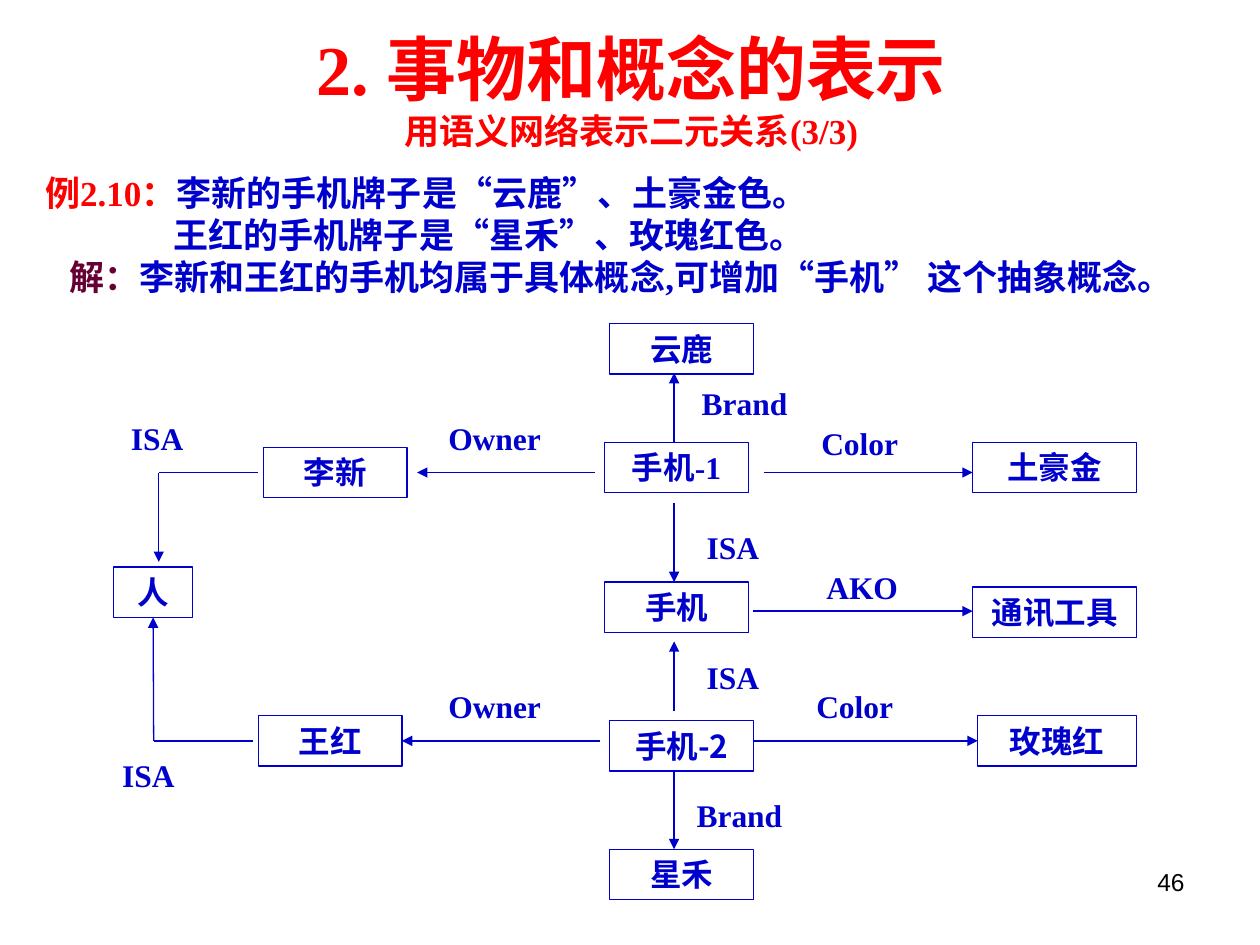
from dataclasses import dataclass

from lxml import etree
from pptx import Presentation
from pptx import util as u
from pptx.dml.color import RGBColor
from pptx.enum import shapes, text
from pptx.oxml import ns


@dataclass(frozen=True)
class Theme:
    red: str = "FF0000"
    blue: str = "0000CC"
    plum: str = "660033"
    black: str = "000000"
    serif: str = "Times New Roman"
    sans: str = "Arial"
    cjk: str = "Noto Sans CJK SC"
    title: int = 40
    body: int = 20
    diagram: int = 18
    number: int = 14
    line: float = 0.75


THEME = Theme()
BOX_HEIGHT = 0.4

# Concept boxes: text, left, top, width, Latin font
NODES = [
    ("手机-1", 4.8, 3.51, 1.14, THEME.serif),
    ("手机", 4.8, 4.62, 1.14, THEME.sans),
    ("手机-2", 4.84, 5.72, 1.14, THEME.cjk),
    ("土豪金", 7.72, 3.51, 1.3, THEME.sans),
    ("通讯工具", 7.72, 4.66, 1.3, THEME.sans),
    ("玫瑰红", 7.76, 5.68, 1.26, THEME.sans),
    ("李新", 2.09, 3.55, 1.14, THEME.sans),
    ("王红", 2.05, 5.68, 1.14, THEME.sans),
    ("人", 0.9, 4.5, 0.63, THEME.sans),
    ("云鹿", 4.84, 2.57, 1.14, THEME.sans),
    ("星禾", 4.84, 6.74, 1.14, THEME.sans),
]

# Relation arrows: start, end, and the box side that the end is joined to
ARROWS = [
    ((5.35, 3.51), (5.35, 2.96), None),
    ((4.72, 3.75), (3.31, 3.75), None),
    ((6.06, 3.75), (7.72, 3.75), None),
    ((5.35, 3.99), (5.35, 4.62), None),
    ((5.35, 5.64), (5.35, 5.09), None),
    ((5.98, 4.85), (7.72, 4.85), None),
    ((4.76, 5.88), (3.19, 5.88), ("王红", 3)),
    ((5.98, 5.88), (7.76, 5.88), ("玫瑰红", 1)),
    ((5.35, 6.11), (5.35, 6.74), None),
    ((1.26, 3.75), (1.26, 4.46), None),
    ((1.22, 5.88), (1.22, 4.89), ("人", 2)),
]

# Plain lines that lead from a person to the corner of an ISA arrow
CORNER_LINES = [((2.05, 3.75), (1.26, 3.75)), ((2.01, 5.88), (1.22, 5.88))]

# Relation names: text, left, top, width
LABELS = [
    ("Brand", 5.47, 3.0, 1.18),
    ("Owner", 3.46, 3.28, 1.1),
    ("Color", 6.42, 3.32, 0.87),
    ("ISA", 5.51, 4.14, 0.79),
    ("ISA", 5.51, 5.17, 0.79),
    ("AKO", 6.46, 4.46, 0.87),
    ("Color", 6.38, 5.4, 1.18),
    ("Owner", 3.46, 5.4, 1.02),
    ("Brand", 5.43, 6.27, 1.18),
    ("ISA", 0.94, 3.28, 0.79),
    ("ISA", 0.87, 5.95, 0.79),
]

# Example paragraphs: left indent, then runs of text and colour
EXAMPLE = [
    (0.06, [("例2.10：", THEME.red), ("李新的手机牌子是“云鹿”、土豪金色。", THEME.blue)]),
    (1.08, [("王红的手机牌子是“星禾”、玫瑰红色。", THEME.blue)]),
    (0.25, [("解：", THEME.plum),
            ("李新和王红的手机均属于具体概念,可增加“手机” 这个抽象概念。", THEME.blue)]),
]


def add_span(para, wording, size, color, font=THEME.serif, bold=True):
    span = para.add_run()
    span.text = wording
    span.font.size = u.Pt(size)
    span.font.bold = bold
    span.font.name = font
    span.font.color.rgb = RGBColor.from_string(color)
    east_asian = etree.SubElement(span.font._element, ns.qn("a:ea"))
    east_asian.set("typeface", THEME.cjk)


def add_text_box(parent, left, top, width, height):
    box = parent.shapes.add_textbox(*map(u.Inches, (left, top, width, height)))
    box.text_frame.word_wrap = True
    return box.text_frame


def add_title(page):
    title = page.shapes.title
    title.left, title.top, title.width, title.height = map(u.Inches, (0.51, 0.21, 9, 0.99))
    frame = title.text_frame
    frame.auto_size = text.MSO_AUTO_SIZE.NONE
    frame.vertical_anchor = text.MSO_ANCHOR.MIDDLE
    para = frame.paragraphs[0]
    para.alignment = text.PP_ALIGN.CENTER
    add_span(para, "2. 事物和概念的表示", THEME.title, THEME.red)
    para.add_line_break()
    add_span(para, "用语义网络表示二元关系(3/3)", THEME.body, THEME.red)


def add_example(page):
    frame = add_text_box(page, 0.2, 1.31, 9.61, 1.1)
    for index, (indent, spans) in enumerate(EXAMPLE):
        para = frame.add_paragraph() if index else frame.paragraphs[0]
        para._p.get_or_add_pPr().set("marL", str(u.Inches(indent)))
        for wording, color in spans:
            add_span(para, wording, THEME.body, color)


def add_node(group, wording, left, top, width, font):
    box = group.shapes.add_shape(
        shapes.MSO_SHAPE.RECTANGLE, *map(u.Inches, (left, top, width, BOX_HEIGHT)))
    box.shadow.inherit = False
    box.fill.background()
    box.line.color.rgb = RGBColor.from_string(THEME.blue)
    box.line.width = u.Pt(THEME.line)
    frame = box.text_frame
    frame.word_wrap = True
    frame.margin_left = frame.margin_right = u.Inches(0.02)
    frame.vertical_anchor = text.MSO_ANCHOR.TOP
    para = frame.paragraphs[0]
    para.alignment = text.PP_ALIGN.CENTER
    add_span(para, wording, THEME.diagram, THEME.blue, font)
    return box


def add_line(group, start, end, arrow=False):
    line = group.shapes.add_connector(
        shapes.MSO_CONNECTOR.STRAIGHT, *map(u.Inches, start + end))
    line.line.color.rgb = RGBColor.from_string(THEME.blue)
    line.line.width = u.Pt(THEME.line)
    if arrow:
        etree.SubElement(line.line._get_or_add_ln(), ns.qn("a:tailEnd")).set("type", "triangle")
    etree.SubElement(line._element.spPr, ns.qn("a:effectLst"))
    return line


def add_label(group, wording, left, top, width):
    frame = add_text_box(group, left, top, width, BOX_HEIGHT)
    add_span(frame.paragraphs[0], wording, THEME.diagram, THEME.blue)


def add_network(page):
    group = page.shapes.add_group_shape()
    nodes = {node[0]: add_node(group, *node) for node in NODES}
    for start, end, joint in ARROWS:
        arrow = add_line(group, start, end, arrow=True)
        if joint:
            name, side = joint
            arrow.end_connect(nodes[name], side)
    for start, end in CORNER_LINES:
        add_line(group, start, end)
    for label in LABELS:
        add_label(group, *label)


def add_page_number(page):
    para = add_text_box(page, 7.17, 6.83, 2.33, 0.52).paragraphs[0]
    para.alignment = text.PP_ALIGN.RIGHT
    add_span(para, "46", THEME.number, THEME.black, THEME.sans, bold=False)


def main():
    deck = Presentation()
    deck.slide_width, deck.slide_height = u.Inches(10), u.Inches(7.5)
    page = deck.slides.add_slide(deck.slide_layouts[5])
    add_title(page)
    add_example(page)
    add_network(page)
    add_page_number(page)
    deck.save("out.pptx")


if __name__ == "__main__":
    main()
